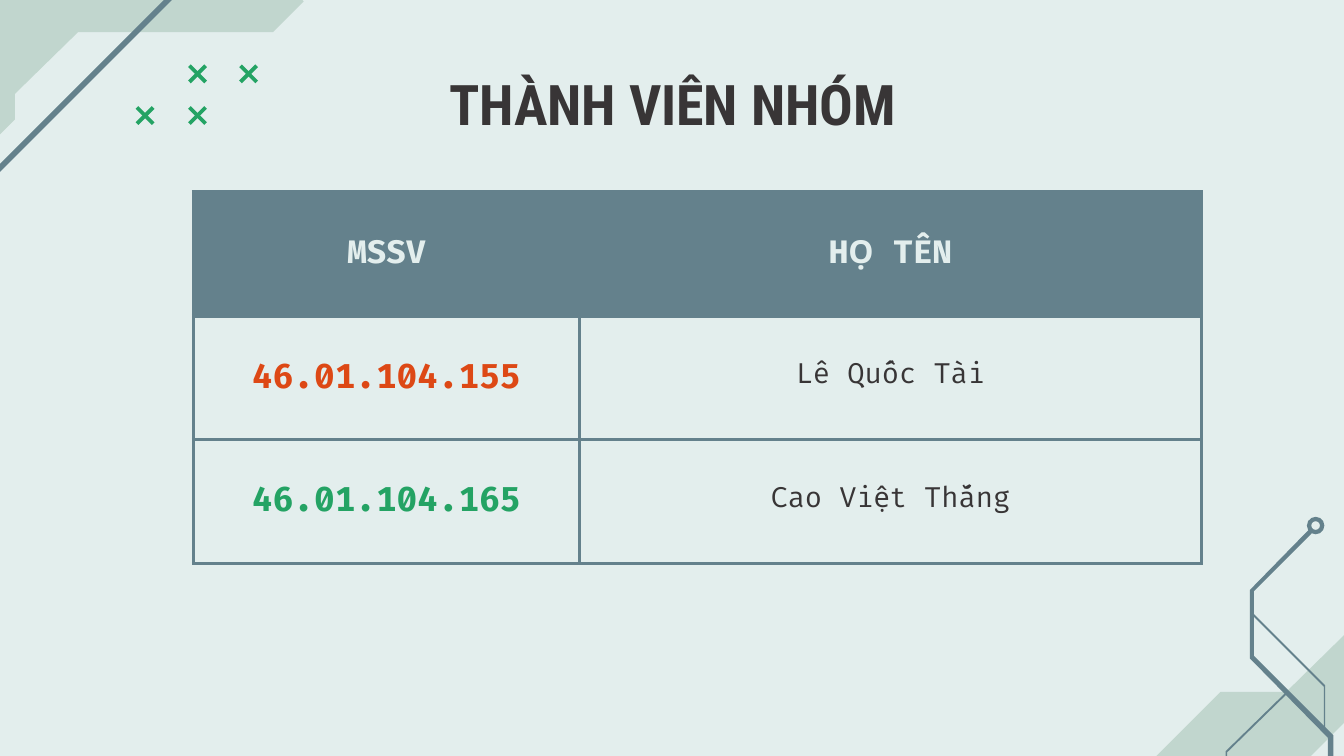
from lxml import etree
from pptx import Presentation
from pptx.dml.color import RGBColor
from pptx.enum.shapes import MSO_SHAPE
from pptx.enum.text import MSO_ANCHOR, PP_ALIGN
from pptx.oxml.ns import qn
from pptx.util import Cm, Pt

CENTER = PP_ALIGN.CENTER
TOP, MIDDLE = MSO_ANCHOR.TOP, MSO_ANCHOR.MIDDLE
DONUT = MSO_SHAPE.DONUT

PALE = RGBColor(0xE3, 0xEE, 0xED)
SAGE = RGBColor(0xC1, 0xD6, 0xCE)
SLATE = RGBColor(0x64, 0x81, 0x8C)
GREEN = RGBColor(0x24, 0xA3, 0x64)
ORANGE = RGBColor(0xDD, 0x48, 0x15)
DARK = RGBColor(0x38, 0x35, 0x36)

UNIT = Cm(0.0254)  # outlines are plotted in hundredths of an inch

deck = Presentation()
deck.slide_width, deck.slide_height = Cm(25.4), Cm(14.29)
slide = deck.slides.add_slide(deck.slide_layouts[6])
slide.background.fill.solid()
slide.background.fill.fore_color.rgb = PALE
shapes = slide.shapes


def write(frame, text, size=15, color=DARK, bold=True, font="Fira Code"):
    par = frame.paragraphs[0]
    par.alignment = CENTER
    run = par.add_run()
    run.text = text
    run.font.size = Pt(size)
    run.font.bold = bold
    run.font.name = font
    run.font.color.rgb = color


def paint(shape, color):
    shape.shadow.inherit = False
    shape.fill.solid()
    shape.fill.fore_color.rgb = color
    shape.line.fill.background()


# Corner bands and circuit lines, from back to front
outlines = [
    (SAGE, [(1012, 461), (957, 515), (908, 515), (798, 625), (901, 625),
            (933, 594), (944, 594), (1077, 461)]),
    (SLATE, [(737, 763), (734, 760), (823, 672), (823, 671), (894, 671),
             (988, 576), (988, 549), (930, 490), (930, 439), (974, 394),
             (976, 397), (933, 440), (933, 488), (992, 547), (992, 578),
             (895, 674), (895, 675), (825, 675)]),
    (SLATE, [(854, 673), (912, 614), (912, 559), (957, 515), (958, 516),
             (913, 560), (913, 615)]),
    (SLATE, [(985, 543), (985, 511), (931, 457), (932, 456), (986, 510),
             (986, 543)]),
    (SAGE, [(-316, 416), (-318, 414), (-35, 131), (-35, 24), (52, -63),
            (144, -156), (407, -419), (410, -417), (153, -160), (153, -69),
            (226, 1), (203, 24), (58, 24), (11, 70), (11, 89), (-35, 135)]),
    (SLATE, [(-91, 139), (-11, 139), (145, -17), (192, -17), (192, -21),
             (143, -21), (-13, 135), (-91, 135)]),
]

# Each cross is two mirrored bars
bar = [(2, 0), (14, 12), (12, 14), (0, 2)]
for left, top in [(140, 48), (178, 48), (101, 79), (140, 79)]:
    outlines.append((GREEN, [(left + x, top + y) for x, y in bar]))
    outlines.append((GREEN, [(left + 14 - x, top + y) for x, y in bar]))

for color, points in outlines:
    pen = shapes.build_freeform(*points[0], scale=UNIT)
    pen.add_line_segments(points[1:], close=True)
    paint(pen.convert_to_shape(), color)

ring = shapes.add_shape(DONUT, Cm(24.7), Cm(9.77), Cm(0.33), Cm(0.33))
ring.adjustments[0] = 0.25
paint(ring, SLATE)

# Title
title = shapes.add_textbox(Cm(2.01), Cm(1.07), Cm(21.41), Cm(1.65))
frame = title.text_frame
frame.word_wrap = True
frame.vertical_anchor = TOP
frame.margin_left = frame.margin_right = Cm(0.25)
frame.margin_top = frame.margin_bottom = Cm(0.25)
write(frame, "THÀNH VIÊN NHÓM", size=30, font="Roboto Condensed")

# Member table
head = dict(size=17, color=PALE)
name = dict(bold=False)
rows = [
    [("MSSV", head), ("HỌ TÊN", head)],
    [("46.01.104.155", dict(size=18, color=ORANGE)), ("Lê Quốc Tài", name)],
    [("46.01.104.165", dict(size=18, color=GREEN)), ("Cao Việt Thắng", name)],
]
grid = shapes.add_table(3, 2, Cm(3.66), Cm(3.63), Cm(19.05), Cm(7.02)).table
grid.first_row = grid.horz_banding = False
for col, width in zip(grid.columns, (7.29, 11.76)):
    col.width = Cm(width)

for r, row in enumerate(rows):
    grid.rows[r].height = Cm(2.34)
    for c, (text, style) in enumerate(row):
        cell = grid.cell(r, c)
        cell.vertical_anchor = MIDDLE
        cell.margin_left = cell.margin_right = cell.margin_bottom = Cm(0.25)
        cell.margin_top = Cm(0.15 if style is name else 0.25)
        if style is head:
            cell.fill.solid()
            cell.fill.fore_color.rgb = SLATE
        else:
            cell.fill.background()
        write(cell.text_frame, text, **style)
        props = cell._tc.get_or_add_tcPr()
        for i, side in enumerate(("lnL", "lnR", "lnT", "lnB")):
            line = etree.Element(qn("a:" + side), w=str(Pt(2.25)))
            fill = etree.SubElement(line, qn("a:solidFill"))
            etree.SubElement(fill, qn("a:srgbClr"), val=str(SLATE))
            props.insert(i, line)

deck.save("out.pptx")
